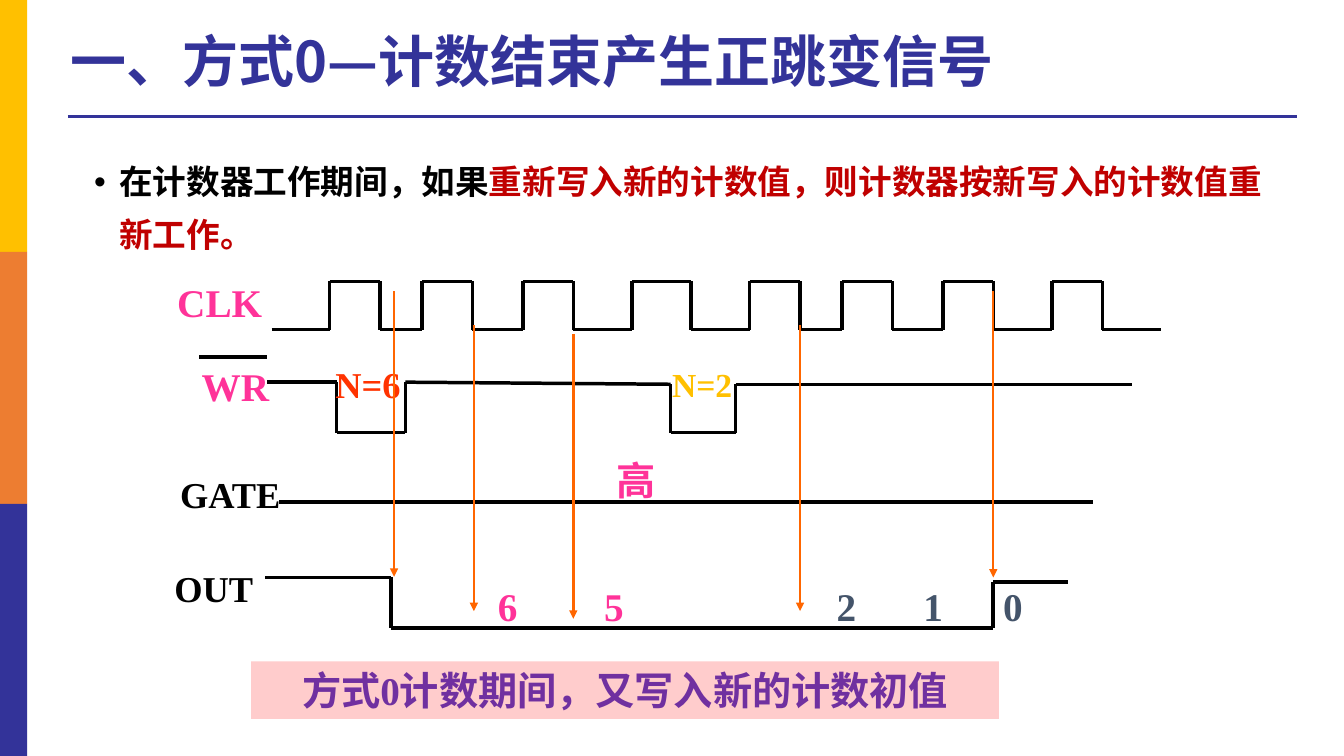
"""Build the timing diagram slide for counter mode 0 with a rewritten count."""
import itertools

import lxml.etree
import pptx
import pptx.dml.color
import pptx.enum.shapes
import pptx.enum.text
import pptx.oxml.ns
import pptx.util

Pt = pptx.util.Pt
RGBColor = pptx.dml.color.RGBColor
MSO_SHAPE = pptx.enum.shapes.MSO_SHAPE
MSO_CONNECTOR = pptx.enum.shapes.MSO_CONNECTOR
PP_ALIGN = pptx.enum.text.PP_ALIGN
MSO_ANCHOR = pptx.enum.text.MSO_ANCHOR
MSO_AUTO_SIZE = pptx.enum.text.MSO_AUTO_SIZE
qn = pptx.oxml.ns.qn

NAVY = RGBColor(0x33, 0x33, 0x99)
GOLD = RGBColor(0xFF, 0xC0, 0x00)
ORANGE = RGBColor(0xED, 0x7D, 0x31)
ARROW = RGBColor(0xFF, 0x66, 0x00)
BLACK = RGBColor(0x00, 0x00, 0x00)
RED = RGBColor(0xC0, 0x00, 0x00)
SCARLET = RGBColor(0xFF, 0x33, 0x00)
PINK = RGBColor(0xFF, 0x33, 0x99)
SLATE = RGBColor(0x44, 0x54, 0x6A)
PURPLE = RGBColor(0x70, 0x30, 0xA0)
BLUSH = RGBColor(0xFF, 0xCC, 0xCC)
HAN = "Noto Sans CJK SC"
SERIF = "Times New Roman"


def add_lines(points, color, width):
    """Join successive points with straight lines and return the last one."""
    for start, end in itertools.pairwise(points):
        line = page.shapes.add_connector(
            MSO_CONNECTOR.STRAIGHT, *(Pt(value) for value in start + end))
        line.line.color.rgb = color
        line.line.width = Pt(width)
        lxml.etree.SubElement(line.element.spPr, qn("a:effectLst"))
    return line


def add_span(para, text, size, color, font):
    """Add one bold run in the given face."""
    span = para.add_run()
    span.text = text
    span.font.size = Pt(size)
    span.font.bold = True
    span.font.color.rgb = color
    span.font.name = font
    east_asian = lxml.etree.SubElement(span.font._element, qn("a:ea"))
    east_asian.set("typeface", HAN)


deck = pptx.Presentation()
deck.slide_width = Pt(960)
deck.slide_height = Pt(540)
page = deck.slides.add_slide(deck.slide_layouts[1])

add_lines([(48.5, 83), (926.5, 83)], NAVY, 2.25)
for index, color in enumerate([GOLD, ORANGE, NAVY]):
    bar = page.shapes.add_shape(
        MSO_SHAPE.RECTANGLE, 0, Pt(180 * index), Pt(19.5), Pt(180))
    bar.shadow.inherit = False
    bar.fill.solid()
    bar.fill.fore_color.rgb = color
    bar.line.fill.background()

title = page.shapes.title
title.left, title.top, title.width, title.height = Pt(43.5), Pt(15), Pt(713.5), Pt(62.5)
title.text_frame.auto_size = MSO_AUTO_SIZE.NONE
title.text_frame.vertical_anchor = MSO_ANCHOR.MIDDLE
para = title.text_frame.paragraphs[0]
para.alignment = PP_ALIGN.LEFT
para.line_spacing = 0.9
add_span(para, "一、方式0—计数结束产生正跳变信号", 40, NAVY, HAN)

body = page.placeholders[1]
body.left, body.top, body.width, body.height = Pt(60), Pt(103), Pt(867.5), Pt(383)
body.text_frame.auto_size = MSO_AUTO_SIZE.NONE
para = body.text_frame.paragraphs[0]
properties = para._p.get_or_add_pPr()
properties.set("marL", str(Pt(18)))
properties.set("indent", str(Pt(-18)))
lxml.etree.SubElement(properties, qn("a:buFont")).set("typeface", "Arial")
lxml.etree.SubElement(properties, qn("a:buChar")).set("char", "•")
para.line_spacing = 1.3
para.space_before = Pt(0)
add_span(para, "在计数器工作期间，如果", 24, BLACK, HAN)
add_span(para, "重新写入新的计数值，则计数器按新写入的计数值重新工作。", 24, RED, HAN)

CLOCK_HIGH, CLOCK_LOW = 201, 235.5
clock_steps = [41.5, 36, 30, 36, 36, 36, 42, 42, 42, 36, 30, 36, 36, 36, 42, 36, 42]
clock_edges = list(itertools.accumulate(clock_steps, initial=194))
clock = []
for index, (left, right) in enumerate(itertools.pairwise(clock_edges)):
    level = CLOCK_HIGH if index % 2 else CLOCK_LOW
    clock += [(left, level), (right, level)]
add_lines(clock, BLACK, 2.5)

add_lines([(191, 273), (240.5, 273), (240.5, 309), (289.5, 309), (289.5, 273),
           (479, 274.5), (479, 309), (525.5, 309), (525.5, 274.5),
           (808.5, 274.5)], BLACK, 2.5)
add_lines([(142.5, 255), (191, 255)], BLACK, 2.75)
add_lines([(199.5, 358.5), (780.5, 358.5)], BLACK, 2.75)
add_lines([(189.5, 412.5), (279.5, 412.5), (279.5, 448.5), (709.5, 448.5),
           (709.5, 415.5), (763, 415.5)], BLACK, 2.75)

labels = [
    ("CLK", 119.5, 195, 120, 28, PINK),
    ("WR", 137, 255, 66, 28, PINK),
    ("N=6", 232.5, 255, 96, 26, SCARLET),
    ("N=2", 473, 256.5, 126, 24, GOLD),
    ("GATE", 121.5, 334, 109.5, 26, BLACK),
    ("高", 433.5, 322.5, 155.5, 28, PINK),
    ("OUT", 117.5, 400.5, 92, 26, BLACK),
]
for text, left, top, width, size, color in labels:
    box = page.shapes.add_textbox(Pt(left), Pt(top), Pt(width), Pt(size * 1.15 + 8))
    box.text_frame.word_wrap = True
    add_span(box.text_frame.paragraphs[0], text, size, color, SERIF)

counts = page.shapes.add_textbox(Pt(348.5), Pt(412.5), Pt(432), Pt(41))
counts.text_frame.word_wrap = True
para = counts.text_frame.paragraphs[0]
tabs = lxml.etree.SubElement(para._p.get_or_add_pPr(), qn("a:tabLst"))
for position in [76, 242, 304, 361]:
    lxml.etree.SubElement(tabs, qn("a:tab"), pos=str(Pt(position)), algn="l")
add_span(para, "6\t5", 28, PINK, SERIF)
add_span(para, "\t2\t1\t0", 28, SLATE, SERIF)

for x, top, bottom in [(281.5, 208, 412), (338.5, 232.5, 436.5), (409.5, 238.5, 442),
                       (571.5, 232.5, 436.5), (709.5, 208, 412.5)]:
    arrow = add_lines([(x, top), (x, bottom)], ARROW, 1.75)
    lxml.etree.SubElement(arrow.line._get_or_add_ln(), qn("a:tailEnd")).set("type", "triangle")

caption = page.shapes.add_shape(
    MSO_SHAPE.RECTANGLE, Pt(179.5), Pt(472.5), Pt(534), Pt(41))
caption.shadow.inherit = False
caption.fill.solid()
caption.fill.fore_color.rgb = BLUSH
caption.line.fill.background()
para = caption.text_frame.paragraphs[0]
para.alignment = PP_ALIGN.CENTER
for text, font in [("方式", "Arial"), ("0", SERIF), ("计数期间，又写入新的计数初值", "Arial")]:
    add_span(para, text, 28, PURPLE, font)

deck.save("out.pptx")
